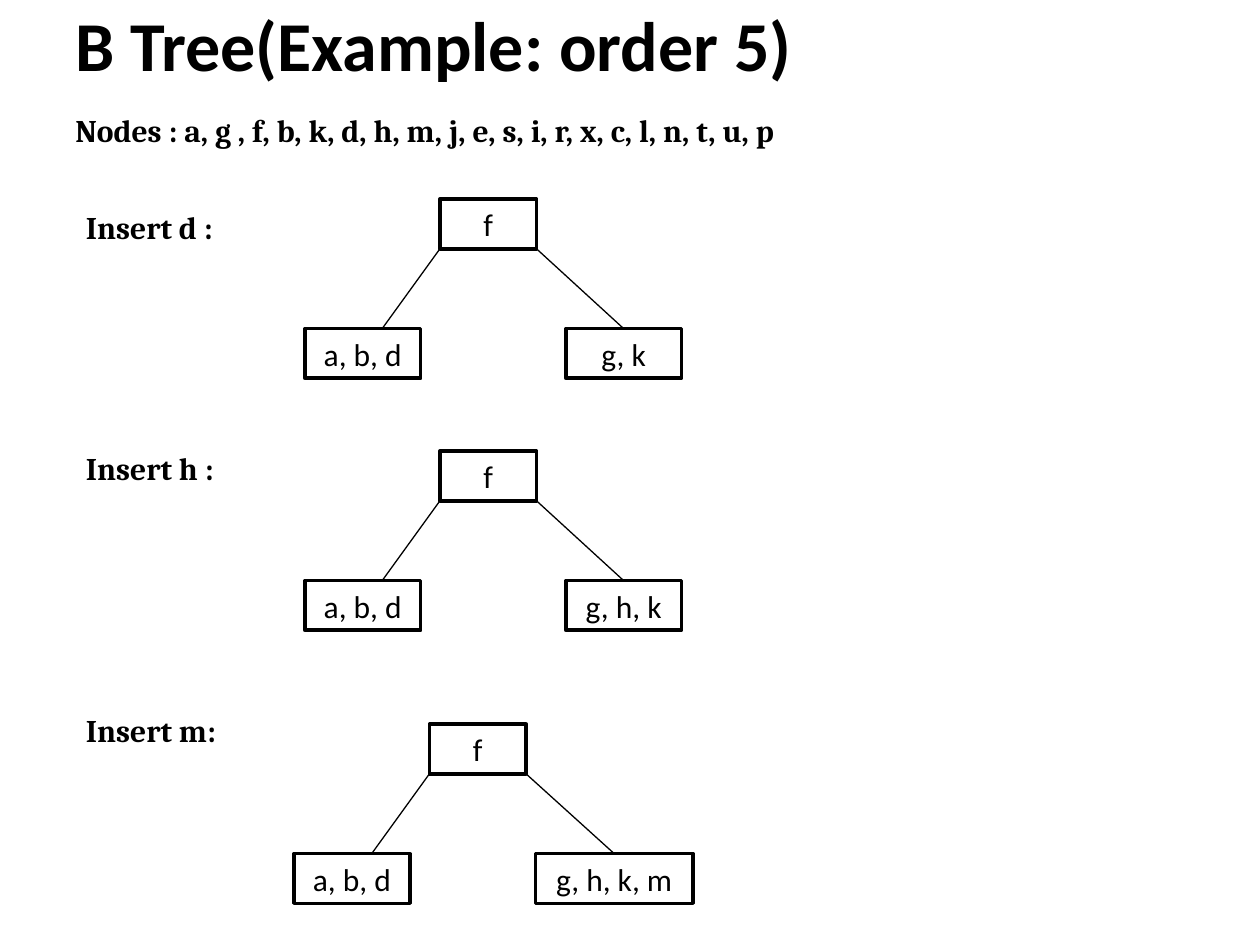
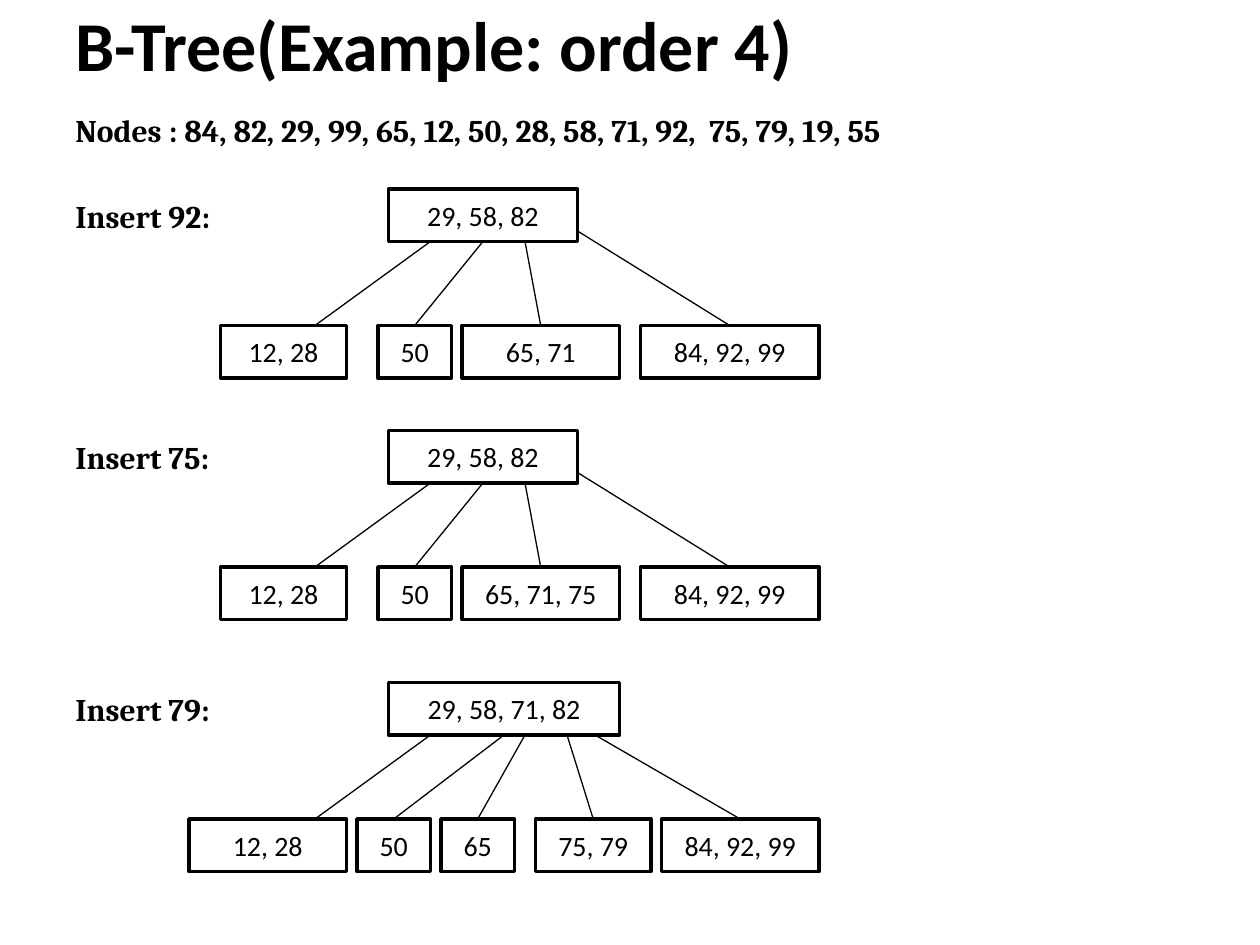
"""Build two slides that show insertions into B-trees of order 5 and order 4."""
from lxml import etree
from pptx import Presentation
from pptx.dml.color import RGBColor
from pptx.enum.shapes import MSO_CONNECTOR, MSO_SHAPE
from pptx.enum.text import MSO_ANCHOR, PP_ALIGN
from pptx.oxml.ns import qn
from pptx.util import Pt

RECT, STRAIGHT = MSO_SHAPE.RECTANGLE, MSO_CONNECTOR.STRAIGHT
TOP, MIDDLE = MSO_ANCHOR.TOP, MSO_ANCHOR.MIDDLE
LEFT, CENTER, JUSTIFY = PP_ALIGN.LEFT, PP_ALIGN.CENTER, PP_ALIGN.JUSTIFY
SIDE_TOP, SIDE_BOTTOM = 0, 2
COLORS = {"ink": "000000", "paper": "FFFFFF"}
INK, PAPER = (RGBColor.from_string(COLORS[name]) for name in ("ink", "paper"))


def write(sp, text, size=18, font="Cambria", bold=True, align=JUSTIFY, anchor=TOP):
    """Put one formatted line of text in a shape."""
    tf = sp.text_frame
    tf.word_wrap = True
    tf.vertical_anchor = anchor
    p = tf.paragraphs[0]
    p.alignment = align
    r = p.add_run()
    r.text = text
    r.font.size, r.font.name, r.font.bold = Pt(size), font, bold
    r.font.color.rgb = INK


def add_node(shapes, x, y, w, h, text, size):
    """Add one outlined tree node and return it."""
    sp = shapes.add_shape(RECT, Pt(x), Pt(y), Pt(w), Pt(h))
    sp.shadow.inherit = False
    sp.fill.solid()
    sp.fill.fore_color.rgb = PAPER
    sp.line.color.rgb = INK
    sp.line.width = Pt(2)
    write(sp, text, size=size, font="Calibri", bold=False, align=CENTER, anchor=MIDDLE)
    return sp


# Leaf: x, width, keys, branch start x, rise above the root's bottom, branch end x (None = middle)
SLIDES = [
    {
        "title": "B Tree(Example: order 5)",
        "nodes": "Nodes : a, g , f, b, k, d, h, m, j, e, s, i, r, x, c, l, n, t, u, p",
        "label_x": 42, "size": 18, "height": 28.4, "drop": 74,
        "trees": [
            ("Insert d :", 115.2, (251.4, 113.8, 55.2, "f"),
             [(174.2, 66.2, "a, b, d", 251.4, 0, 218.4), (323.3, 66.2, "g, k", 306.6, 0, None)]),
            ("Insert h :", 253, (251.4, 257.8, 55.2, "f"),
             [(174.2, 66.2, "a, b, d", 251.4, 0, 218.4), (323.3, 66.2, "g, h, k", 306.6, 0, None)]),
            ("Insert m:", 403, (245.4, 413.8, 55.2, "f"),
             [(168, 66.2, "a, b, d", 245.4, 0, 212.4), (306, 90, "g, h, k, m", 300.6, 0, None)]),
        ],
    },
    {
        "title": "B-Tree(Example: order 4)",
        "nodes": "Nodes : 84, 82, 29, 99, 65, 12, 50, 28, 58, 71, 92,  75, 79, 19, 55",
        "label_x": 36, "size": 16, "height": 30, "drop": 78,
        "trees": [
            ("Insert 92:", 109, (222, 108, 108, "29, 58, 82"),
             [(126, 72, "12, 28", 246, 0, 180), (216, 42, "50", 276, 0, None),
              (264, 90, "65, 71", 300, 0, None), (366, 102, "84, 92, 99", 330, 6, None)]),
            ("Insert 75:", 247, (222, 246, 108, "29, 58, 82"),
             [(126, 72, "12, 28", 246, 0, 180), (216, 42, "50", 276, 0, None),
              (264, 90, "65, 71, 75", 300, 0, None), (366, 102, "84, 92, 99", 330, 6, None)]),
            ("Insert 79:", 391, (222, 390, 132, "29, 58, 71, 82"),
             [(108, 90, "12, 28", 246, 0, 180), (204, 42, "50", 288, 0, None),
              (252, 42, "65", 300, 0, None), (306, 66, "75, 79", 324, 0, None),
              (378, 90, "84, 92, 99", 340, 0, None)]),
        ],
    },
]

prs = Presentation()
prs.slide_width, prs.slide_height = Pt(720), Pt(540)

for page in SLIDES:
    s = prs.slides.add_slide(prs.slide_layouts[6])
    s.background.fill.solid()
    s.background.fill.fore_color.rgb = PAPER
    title = s.shapes.add_textbox(Pt(36), Pt(6), Pt(666), Pt(38))
    write(title, page["title"], size=40, font="Calibri", align=LEFT, anchor=MIDDLE)
    write(s.shapes.add_textbox(Pt(36), Pt(60), Pt(654), Pt(29)), page["nodes"])

    size, height = page["size"], page["height"]
    for label, label_y, (root_x, root_y, root_w, root_keys), leaves in page["trees"]:
        write(s.shapes.add_textbox(Pt(page["label_x"]), Pt(label_y), Pt(216), Pt(29)), label)
        shapes = s.shapes.add_group_shape().shapes
        root = add_node(shapes, root_x, root_y, root_w, height, root_keys, size)
        root_bottom, leaf_y = root_y + height, root_y + page["drop"]
        for x, w, keys, start_x, rise, end_x in leaves:
            leaf = add_node(shapes, x, leaf_y, w, height, keys, size)
            branch = shapes.add_connector(STRAIGHT, Pt(start_x), Pt(root_bottom - rise),
                                          Pt(end_x or x + w / 2), Pt(leaf_y))
            branch.line.color.rgb = INK
            branch.line.width = Pt(0.75)
            etree.SubElement(branch.element.spPr, qn("a:effectLst"))
            if start_x == root_x + root_w / 2:
                branch.begin_connect(root, SIDE_BOTTOM)
            if end_x is None:
                branch.end_connect(leaf, SIDE_TOP)

prs.save("out.pptx")
